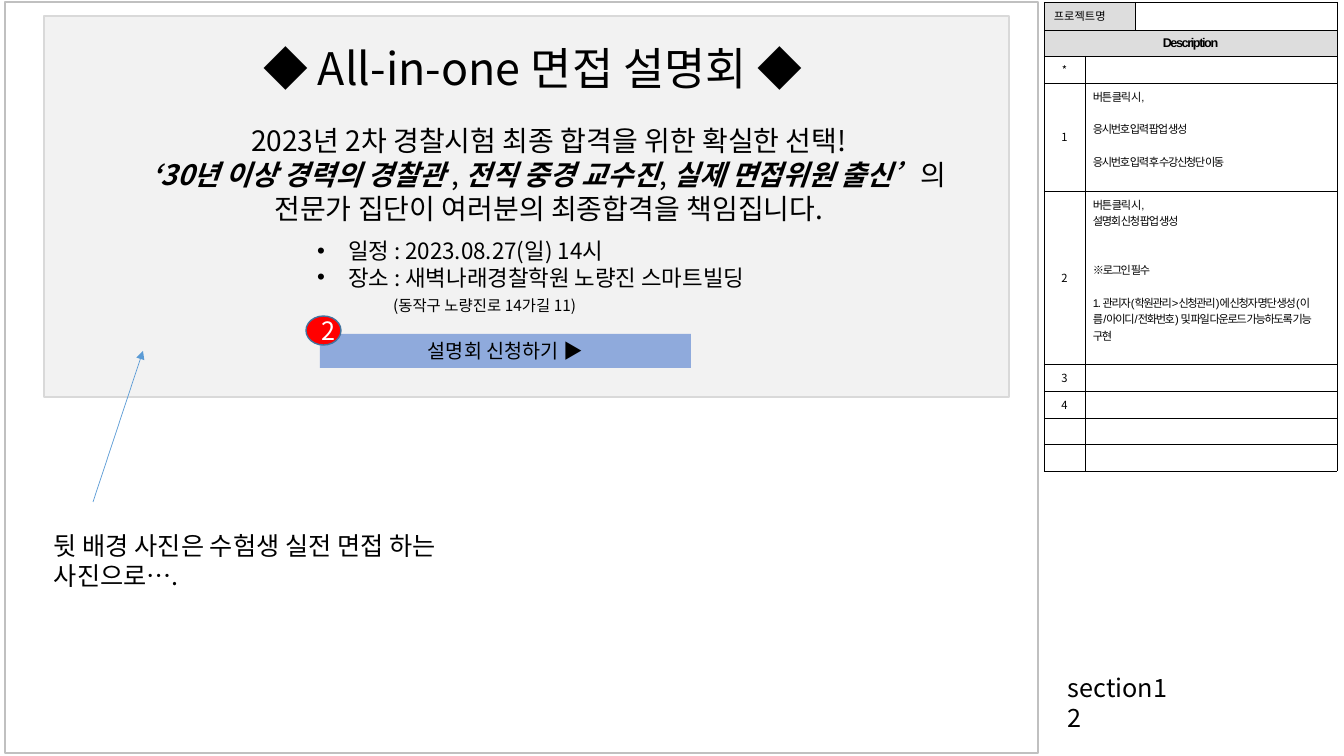
from lxml.etree import SubElement
from pptx import Presentation
from pptx.dml.color import RGBColor
from pptx.enum.shapes import MSO_CONNECTOR, MSO_SHAPE
from pptx.enum.text import MSO_ANCHOR, MSO_AUTO_SIZE, PP_ALIGN
from pptx.oxml.ns import qn
from pptx.util import Emu, Pt

SCALE = 914400 / 100.8
CENTER, LEFT = PP_ALIGN.CENTER, PP_ALIGN.LEFT
MIDDLE, TOP = MSO_ANCHOR.MIDDLE, MSO_ANCHOR.TOP
FONT = "Noto Sans CJK KR"


def px(n):
    return Emu(round(n * SCALE))


def rgb(color):
    return RGBColor.from_string(color)


def add_run(p, text, size=18, font=FONT, color="000000", bold=False, italic=False, spc=0):
    r = p.add_run()
    r.text = text
    f = r.font
    f.size, f.name, f.bold, f.italic = Pt(size), font, bold, italic
    f.color.rgb = rgb(color)
    rPr = r._r.get_or_add_rPr()
    SubElement(rPr, qn("a:ea"), typeface=FONT)
    if spc:
        rPr.set("spc", str(spc))


def set_bullet(p, indent, char=None):
    pPr = p._p.get_or_add_pPr()
    pPr.set("marL", str(px(indent)))
    pPr.set("indent", str(-px(indent) if char else 0))
    if char:
        SubElement(pPr, qn("a:buFont"), typeface="Arial")
        SubElement(pPr, qn("a:buChar"), char=char)
    else:
        SubElement(pPr, qn("a:buNone"))


class Board:
    def __init__(self, prs):
        self.s = prs.slides.add_slide(prs.slide_layouts[1])

    def shape(self, kind, box, fill=None, line=None, text=None, **fmt):
        sp = self.s.shapes.add_shape(kind, *map(px, box))
        sp.shadow.inherit = False
        if fill:
            sp.fill.solid()
            sp.fill.fore_color.rgb = rgb(fill)
        else:
            sp.fill.background()
        if line:
            sp.line.color.rgb = rgb(line)
            sp.line.width = Pt(1)
        else:
            sp.line.fill.background()
        if text:
            sp.text_frame.vertical_anchor = MIDDLE
            p = sp.text_frame.paragraphs[0]
            p.alignment = CENTER
            add_run(p, text, **fmt)

    def fill_text(self, sp, paragraphs, align=LEFT):
        """Each paragraph is a list of (text, format) runs."""
        tf = sp.text_frame
        tf.word_wrap = True
        tf.auto_size = MSO_AUTO_SIZE.NONE
        tf.vertical_anchor = TOP
        for i, runs in enumerate(paragraphs):
            p = tf.add_paragraph() if i else tf.paragraphs[0]
            p.alignment = align
            p.space_before = Pt(0)
            for text, fmt in runs:
                add_run(p, text, **fmt)
        return tf

    def text(self, box, paragraphs, align=LEFT):
        self.fill_text(self.s.shapes.add_textbox(*map(px, box)), paragraphs, align)

    def placeholder(self, idx, box, paragraphs):
        sp = self.s.placeholders[idx]
        sp.left, sp.top, sp.width, sp.height = map(px, box)
        self.s.shapes.element.append(sp.element)  # bring to front
        return self.fill_text(sp, paragraphs)

    def arrow(self, start, end, color):
        c = self.s.shapes.add_connector(MSO_CONNECTOR.STRAIGHT, *map(px, start + end))
        c.line.color.rgb = rgb(color)
        c.line.width = Pt(0.5)
        SubElement(c.element.spPr.find(qn("a:ln")), qn("a:tailEnd"), type="triangle")
        SubElement(c.element.spPr, qn("a:effectLst"))

    def table(self, left, top, cols, rows):
        t = self.s.shapes.add_table(len(rows), len(cols), px(left), px(top),
                                    px(sum(cols)), px(sum(rows))).table
        for col, w in zip(t.columns, cols):
            col.width = px(w)
        for row, h in zip(t.rows, rows):
            row.height = px(h)
        for cell in t.iter_cells():
            self.cell_style(cell)
        return t

    def cell_style(self, cell):
        tcPr = cell._tc.get_or_add_tcPr()
        for side in "LRTB":
            ln = SubElement(tcPr, qn(f"a:ln{side}"), w=str(Pt(0.25)))
            SubElement(SubElement(ln, qn("a:solidFill")), qn("a:srgbClr"), val="000000")
        cell.fill.solid()
        cell.fill.fore_color.rgb = rgb("FFFFFF")
        SubElement(cell.text_frame.paragraphs[0]._p, qn("a:endParaRPr"), sz="800")

    def cell(self, cell, lines, align=LEFT, anchor=MIDDLE, inset=10, fill="FFFFFF", **fmt):
        """Each line is (text, points of space before)."""
        cell.fill.fore_color.rgb = rgb(fill)
        cell.vertical_anchor = anchor
        cell.margin_left = cell.margin_right = px(inset)
        for i, (text, gap) in enumerate(lines):
            p = cell.text_frame.add_paragraph() if i else cell.text_frame.paragraphs[0]
            p.alignment = align
            p.space_before = Pt(gap)
            add_run(p, text, **fmt)


def main():
    prs = Presentation()
    prs.slide_width, prs.slide_height = px(1344), px(756)
    b = Board(prs)

    # Page frame and description table
    b.shape(MSO_SHAPE.RECTANGLE, (5, 2, 1033, 751), line="C0C0C0")
    t = b.table(1044, 2, (41, 50, 202), (28, 26, 27, 108, 173, 27, 27, 26, 27))
    t.cell(0, 0).merge(t.cell(0, 1))
    t.cell(1, 0).merge(t.cell(1, 2))
    for i in range(2, len(t.rows)):
        t.cell(i, 1).merge(t.cell(i, 2))
    b.cell(t.cell(0, 0), [("프로젝트명", 0)], fill="DDDDDD", size=8)
    b.cell(t.cell(1, 0), [("Description", 0)], CENTER, fill="DDDDDD",
           size=9, font="Arial", bold=True, spc=-100)
    for i, mark in enumerate("*1234", 2):
        b.cell(t.cell(i, 0), [(mark, 0)], CENTER, inset=4, size=8)
    line = 11.8  # height of one table line in points
    notes = {
        3: [("버튼 클릭 시,", 0), ("응시번호 입력 팝업 생성", line),
            ("응시번호 입력 후 수강신청단 이동", line)],
        4: [("버튼 클릭 시,", 0), ("설명회 신청 팝업 생성", 0), ("※로그인 필수", 2 * line),
            ("1. 관리자(학원관리>신청관리)에 신청자 명단 생성(이름/아이디/전화번호) "
             "및 파일 다운로드 가능하도록 기능 구현", line)],
    }
    for i, lines in notes.items():
        b.cell(t.cell(i, 1), lines, anchor=TOP, inset=8, size=8, font="Arial", spc=-100)

    # Banner with title, schedule and pitch
    b.shape(MSO_SHAPE.RECTANGLE, (44, 16, 965, 381), "F2F2F2", "D9D9D9")
    b.placeholder(0, (253, 36, 618, 65), [[("◆ All-in-one 면접 설명회 ◆", dict(size=32))]])
    tf = b.placeholder(1, (307, 232, 539, 119), [
        [("일정 : 2023.08.27(일) 14시", dict(size=16))],
        [("장소 : 새벽나래경찰학원 노량진 스마트빌딩", dict(size=16))],
        [("(동작구 노량진로 14가길 11)", dict(size=11))],
    ])
    for p, (indent, char) in zip(tf.paragraphs, ((31, "•"), (31, "•"), (76, None))):
        set_bullet(p, indent, char)
    tf.paragraphs[2].space_before = Pt(4)
    plain, strong = dict(size=20), dict(size=20, bold=True, italic=True)
    b.text((112, 119, 874, 112), [
        [("2023년 2차 경찰시험 최종 합격을 위한 확실한 선택!", plain)],
        [("‘30년 이상 경력의 경찰관 ", strong), (", ", plain), ("전직 중경 교수진", strong),
         (", ", plain), ("실제 면접위원 출신’", strong),
         ("의 전문가 집단이 여러분의 최종합격을 책임집니다.", plain)],
    ], CENTER)

    # Apply button with its number
    b.shape(MSO_SHAPE.RECTANGLE, (320, 334, 371, 34), "8FAADC", text="설명회 신청하기 ▶", size=14)
    b.shape(MSO_SHAPE.OVAL, (306, 316, 35, 29), "FF0000", "43739E", "2", color="FFFFFF")

    # Remarks below the banner
    b.arrow((93, 502), (143, 351), "5B9BD5")
    b.text((44, 525, 451, 72), [[("뒷 배경 사진은 수험생 실전 면접 하는 사진으로….", {})]])
    b.text((1058, 667, 130, 40), [[("section12", {})]])

    prs.save("out.pptx")


if __name__ == "__main__":
    main()
